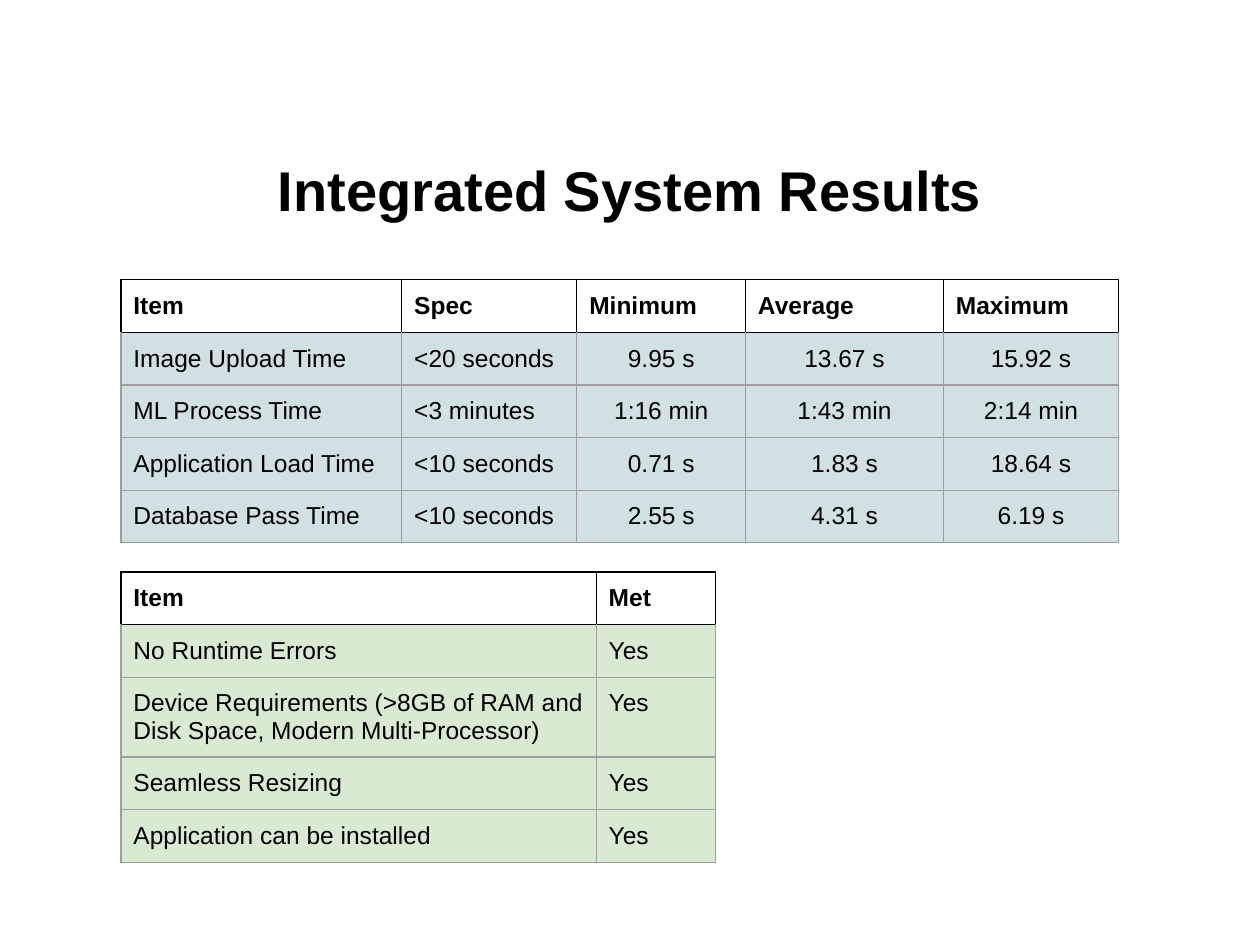
"""Build the integrated system results slide with its two tables."""
from lxml import etree
from pptx import Presentation
from pptx.dml.color import RGBColor
from pptx.enum.text import MSO_ANCHOR, PP_ALIGN
from pptx.oxml.ns import qn
from pptx.util import Cm, Pt

CENTER, LEFT = PP_ALIGN.CENTER, PP_ALIGN.LEFT
MIDDLE = MSO_ANCHOR.MIDDLE

TITLE = "Integrated System Results"
TIMINGS = [
    ("Item", "Spec", "Minimum", "Average", "Maximum"),
    ("Image Upload Time", "<20 seconds", "9.95 s", "13.67 s", "15.92 s"),
    ("ML Process Time", "<3 minutes", "1:16 min", "1:43 min", "2:14 min"),
    ("Application Load Time", "<10 seconds", "0.71 s", "1.83 s", "18.64 s"),
    ("Database Pass Time", "<10 seconds", "2.55 s", "4.31 s", "6.19 s"),
]
REQUIREMENTS = [
    ("Item", "Met"),
    ("No Runtime Errors", "Yes"),
    ("Device Requirements (>8GB of RAM and Disk Space, Modern Multi-Processor)", "Yes"),
    ("Seamless Resizing", "Yes"),
    ("Application can be installed", "Yes"),
]
COLORS = {
    "text": "000000",
    "header_border": "000000",
    "body_border": "9E9E9E",
    "timings": "D0E0E3",
    "requirements": "D9EAD3",
}
FONT = "Arial"
TABLE_LEFT = 2.44
ROW_HEIGHT = 1.06
CELL_MARGIN = Cm(0.25)
BORDER_WIDTH = Pt(0.75)
FIRST_VALUE_COLUMN = 2


def format_text(paragraph, size, bold, alignment):
    paragraph.alignment = alignment
    for run in paragraph.runs:
        run.font.name = FONT
        run.font.size = Pt(size)
        run.font.bold = bold
        run.font.color.rgb = RGBColor.from_string(COLORS["text"])


def add_borders(cell, row_index):
    properties = cell._tc.get_or_add_tcPr()
    for side in ("lnL", "lnR", "lnT", "lnB"):
        dark = row_index == 0 or (row_index == 1 and side == "lnT")
        border = etree.SubElement(properties, qn(f"a:{side}"), w=str(BORDER_WIDTH))
        fill = etree.SubElement(border, qn("a:solidFill"))
        color = COLORS["header_border" if dark else "body_border"]
        etree.SubElement(fill, qn("a:srgbClr"), val=color)


def format_cell(cell, text, row_index, column_index, body_color):
    header = row_index == 0
    cell.text_frame.text = text
    cell.margin_left = cell.margin_right = CELL_MARGIN
    cell.margin_top = cell.margin_bottom = CELL_MARGIN
    centered = not header and column_index >= FIRST_VALUE_COLUMN
    format_text(cell.text_frame.paragraphs[0], 14, header, CENTER if centered else LEFT)
    add_borders(cell, row_index)
    if header:
        cell.fill.background()
    else:
        cell.fill.solid()
        cell.fill.fore_color.rgb = RGBColor.from_string(body_color)


def add_results_table(slide, rows, top, widths, body_color):
    table = slide.shapes.add_table(
        len(rows), len(widths), Cm(TABLE_LEFT), Cm(top),
        Cm(sum(widths)), Cm(ROW_HEIGHT * len(rows)),
    ).table
    table.horz_banding = False
    for column, width in zip(table.columns, widths):
        column.width = Cm(width)
    for row_index, row in enumerate(rows):
        table.rows[row_index].height = Cm(ROW_HEIGHT)
        for column_index, text in enumerate(row):
            cell = table.cell(row_index, column_index)
            format_cell(cell, text, row_index, column_index, body_color)


def main():
    presentation = Presentation()
    presentation.slide_width, presentation.slide_height = Cm(25.4), Cm(19.05)
    slide = presentation.slides.add_slide(presentation.slide_layouts[5])

    title = slide.shapes.title
    title.left, title.top, title.width, title.height = Cm(1.27), Cm(2.69), Cm(22.86), Cm(2.24)
    title.text_frame.text = TITLE
    title.text_frame.vertical_anchor = MIDDLE
    format_text(title.text_frame.paragraphs[0], 32, True, CENTER)

    add_results_table(slide, TIMINGS, 5.64, (5.66, 3.53, 3.4, 3.99, 3.53), COLORS["timings"])
    add_results_table(slide, REQUIREMENTS, 11.53, (9.58, 2.4), COLORS["requirements"])
    presentation.save("out.pptx")


if __name__ == "__main__":
    main()
